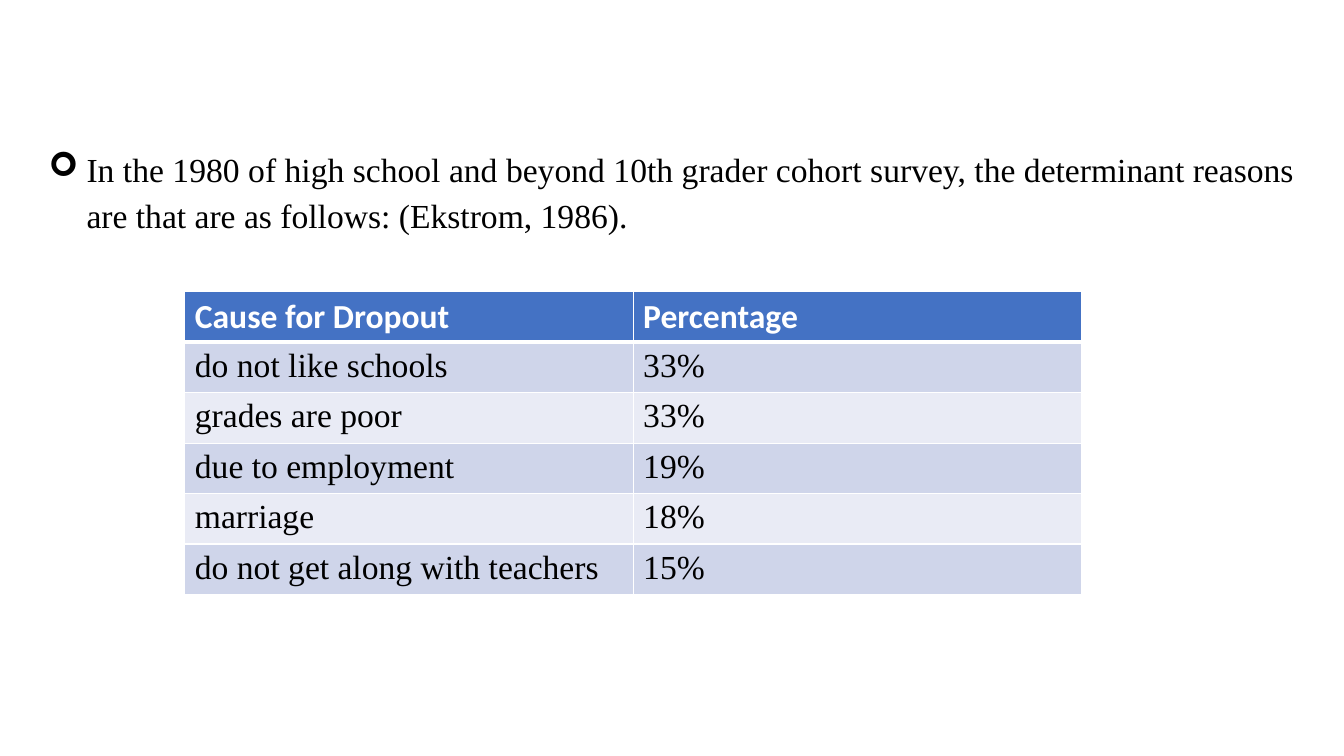
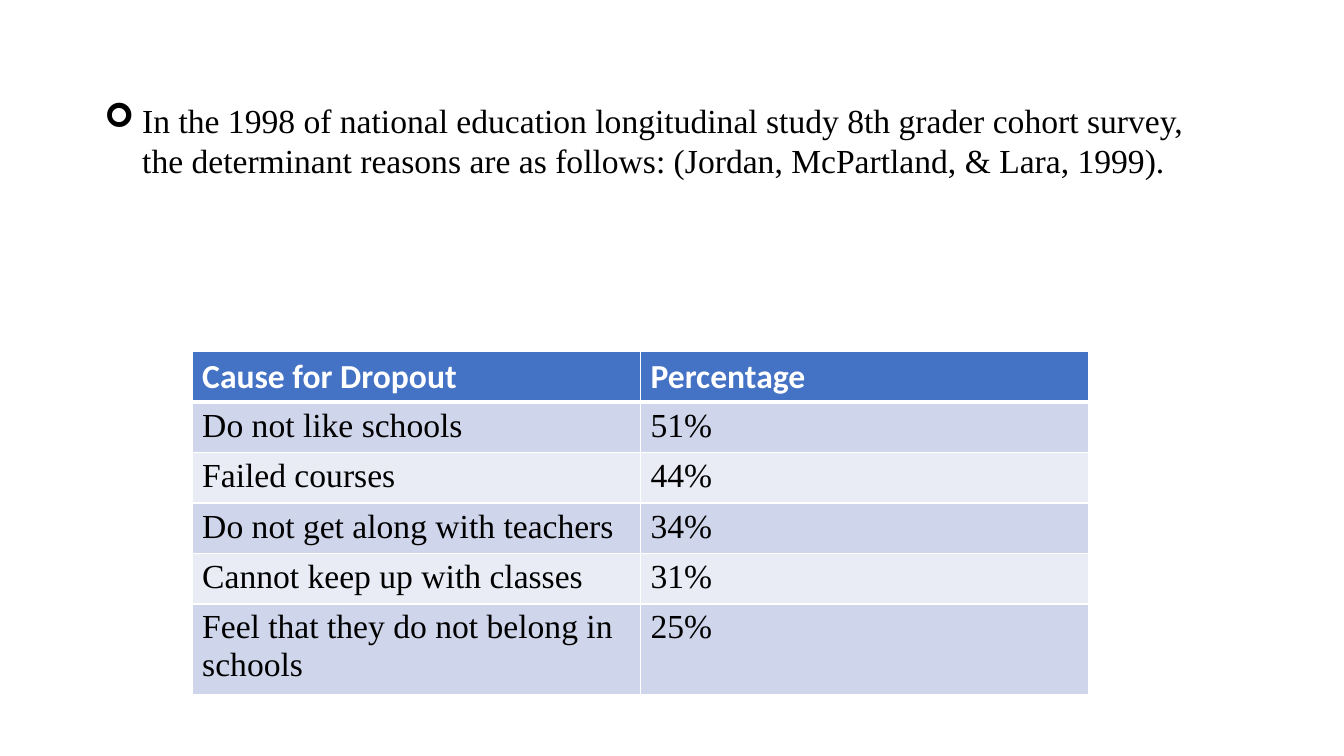
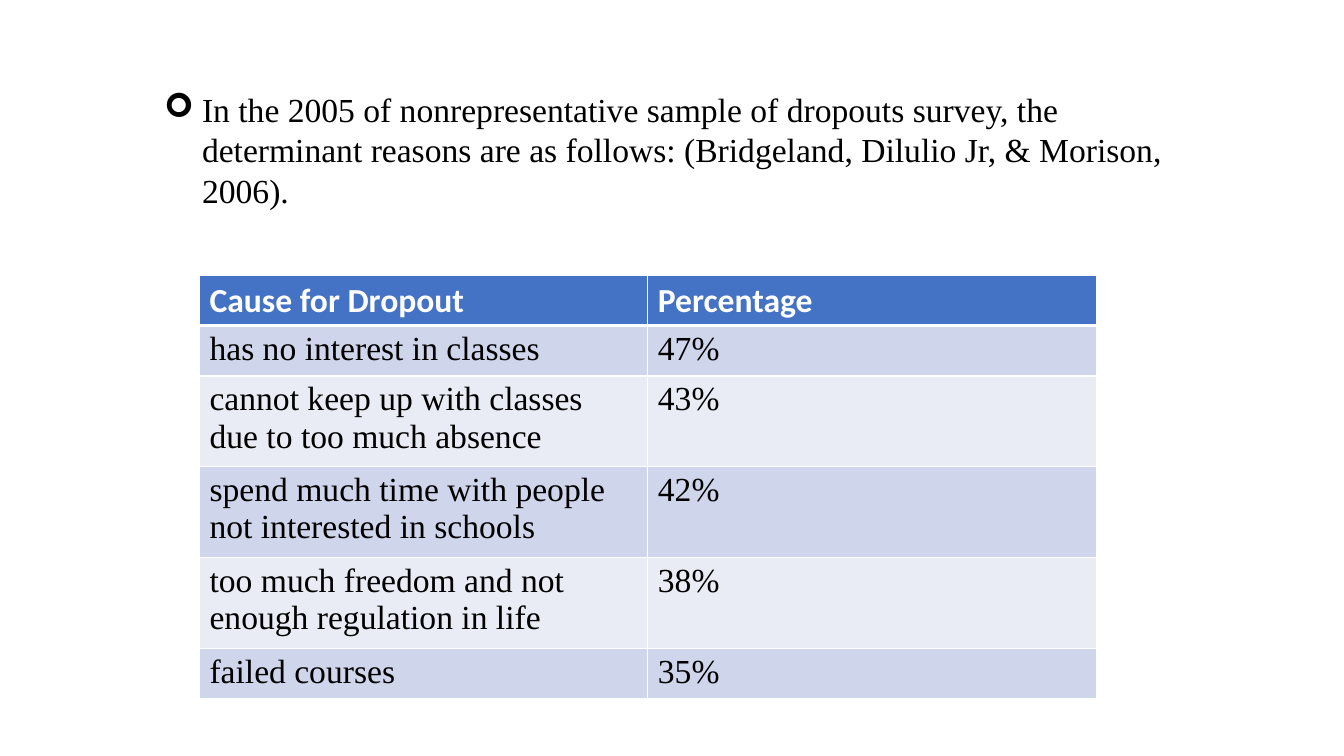
from pptx import Presentation
from pptx.dml.color import RGBColor
from pptx.enum.text import MSO_AUTO_SIZE as AutoSize, PP_ALIGN as Align
from pptx.oxml import parse_xml
from pptx.oxml.ns import nsdecls
from pptx.util import Pt

PX = 9525
SERIF, SANS = "Times New Roman", "Calibri"
BLACK, WHITE, HEADER_BLUE = "000000", "FFFFFF", "4472C4"
BANDS = ["CFD5EA", "E9EBF5"]
COLUMN_WIDTH, LINE_HEIGHT, EXTRA_LINE, CHARS_PER_LINE = 427, 48, 38, 30
HEADINGS = ("Cause for Dropout", "Percentage")

surveys = [
    dict(
        intro="In the 1980 of high school and beyond 10th grader cohort survey, the determinant reasons are that are as follows: (Ekstrom, 1986). ",
        intro_box=(37, 131, 1205, 95),
        intro_format=dict(align=Align.JUSTIFY, spacing=1.15),
        table_at=(176, 278),
        causes=[
            ("do not like schools", "33%"),
            ("grades are poor", "33%"),
            ("due to employment", "19%"),
            ("marriage", "18%"),
            ("do not get along with teachers", "15%"),
        ],
    ),
    dict(
        intro="In the 1998 of national education longitudinal study 8th grader cohort survey, the determinant reasons are as follows: (Jordan, McPartland, & Lara, 1999).",
        intro_box=(90, 90, 1079, 87),
        intro_format={},
        table_at=(183, 335),
        causes=[
            ("Do not like schools", "51%"),
            ("Failed courses", "44%"),
            ("Do not get along with teachers", "34%"),
            ("Cannot keep up with classes", "31%"),
            ("Feel that they do not belong in schools", "25%"),
        ],
    ),
    dict(
        intro="In the 2005 of nonrepresentative sample of dropouts survey, the determinant reasons are as follows: (Bridgeland, Dilulio Jr, & Morison, 2006).",
        intro_box=(147, 80, 987, 126),
        intro_format={},
        table_at=(190, 262),
        causes=[
            ("has no interest in classes", "47%"),
            ("cannot keep up with classes due to too much absence", "43%"),
            ("spend much time with people not interested in schools", "42%"),
            ("too much freedom and not enough regulation in life", "38%"),
            ("failed courses", "35%"),
        ],
    ),
]


def color(hex_code):
    return RGBColor.from_string(hex_code)


def write(frame, text, font=SERIF, fill=BLACK, bold=False, align=None, spacing=None, bullet=None):
    paragraph = frame.paragraphs[0]
    paragraph.alignment = align
    paragraph.line_spacing = spacing
    run = paragraph.add_run()
    run.text = text
    run.font.name = font
    run.font.size = Pt(24)
    run.font.bold = bold
    run.font.color.rgb = color(fill)
    if bullet:
        props = paragraph._p.get_or_add_pPr()
        props.set("marL", str(36 * PX))
        props.set("indent", str(-36 * PX))
        props.append(parse_xml(f'<a:buFont {nsdecls("a")} typeface="Wingdings"/>'))
        props.append(parse_xml(f'<a:buChar {nsdecls("a")} char="{bullet}"/>'))


deck = Presentation()
deck.slide_width, deck.slide_height = 1280 * PX, 720 * PX

for survey in surveys:
    slide = deck.slides.add_slide(deck.slide_layouts[6])

    intro = slide.shapes.add_textbox(*[n * PX for n in survey["intro_box"]]).text_frame
    intro.word_wrap = True
    intro.auto_size = AutoSize.SHAPE_TO_FIT_TEXT
    write(intro, survey["intro"], bullet="➢", **survey["intro_format"])

    rows = [HEADINGS] + survey["causes"]
    heights = [LINE_HEIGHT + EXTRA_LINE * (len(cause) > CHARS_PER_LINE) for cause, _ in rows]
    left, top = survey["table_at"]
    causes = slide.shapes.add_table(
        len(rows), 2, left * PX, top * PX, 2 * COLUMN_WIDTH * PX, sum(heights) * PX
    ).table
    causes.horz_banding = False
    for column in causes.columns:
        column.width = COLUMN_WIDTH * PX

    for r, row in enumerate(rows):
        causes.rows[r].height = heights[r] * PX
        borders = {"L": 1, "R": 1, "T": 3 if r == 1 else 1, "B": 3 if r == 0 else 1}
        for c, text in enumerate(row):
            cell = causes.cell(r, c)
            for side, width in borders.items():
                cell._tc.get_or_add_tcPr().append(parse_xml(
                    f'<a:ln{side} {nsdecls("a")} w="{Pt(width)}"><a:solidFill>'
                    f'<a:srgbClr val="{WHITE}"/></a:solidFill></a:ln{side}>'
                ))
            cell.fill.solid()
            if r == 0:
                cell.fill.fore_color.rgb = color(HEADER_BLUE)
                write(cell.text_frame, text, font=SANS, fill=WHITE, bold=True)
            else:
                cell.fill.fore_color.rgb = color(BANDS[(r - 1) % 2])
                write(cell.text_frame, text)

deck.save("out.pptx")
